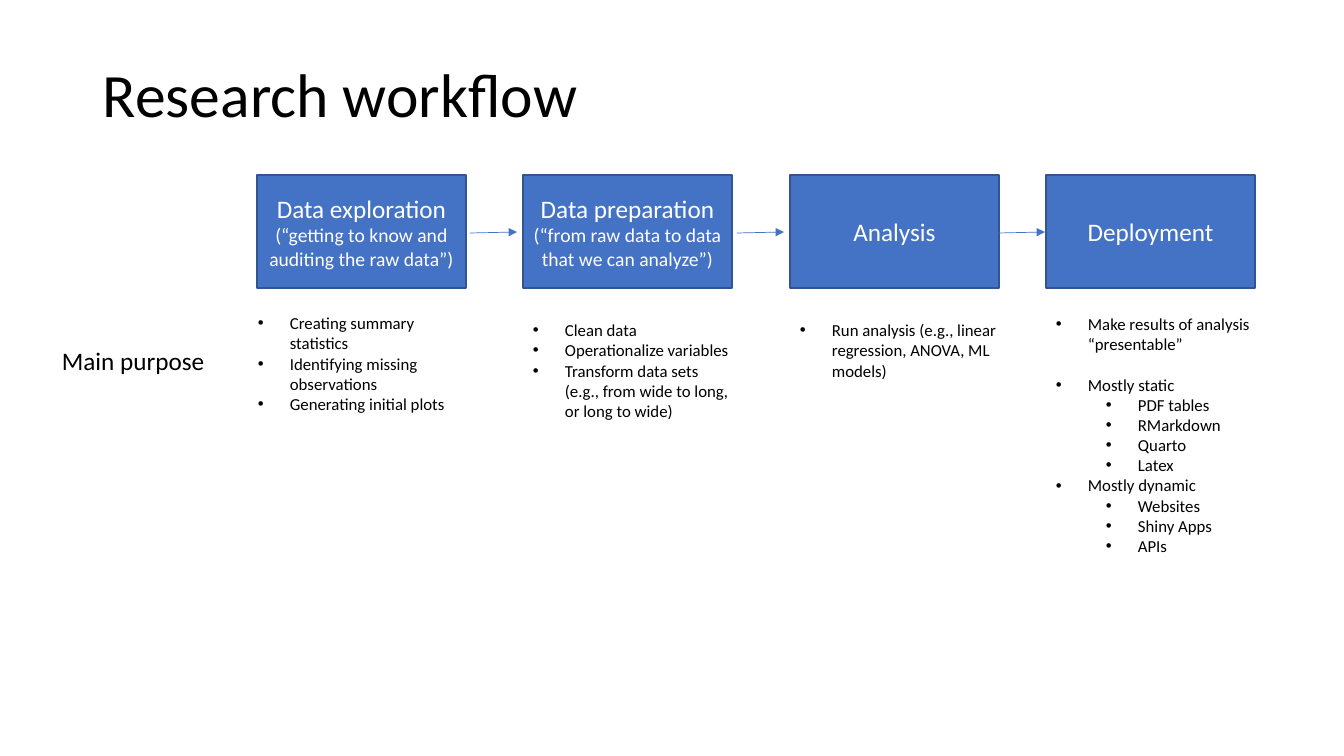
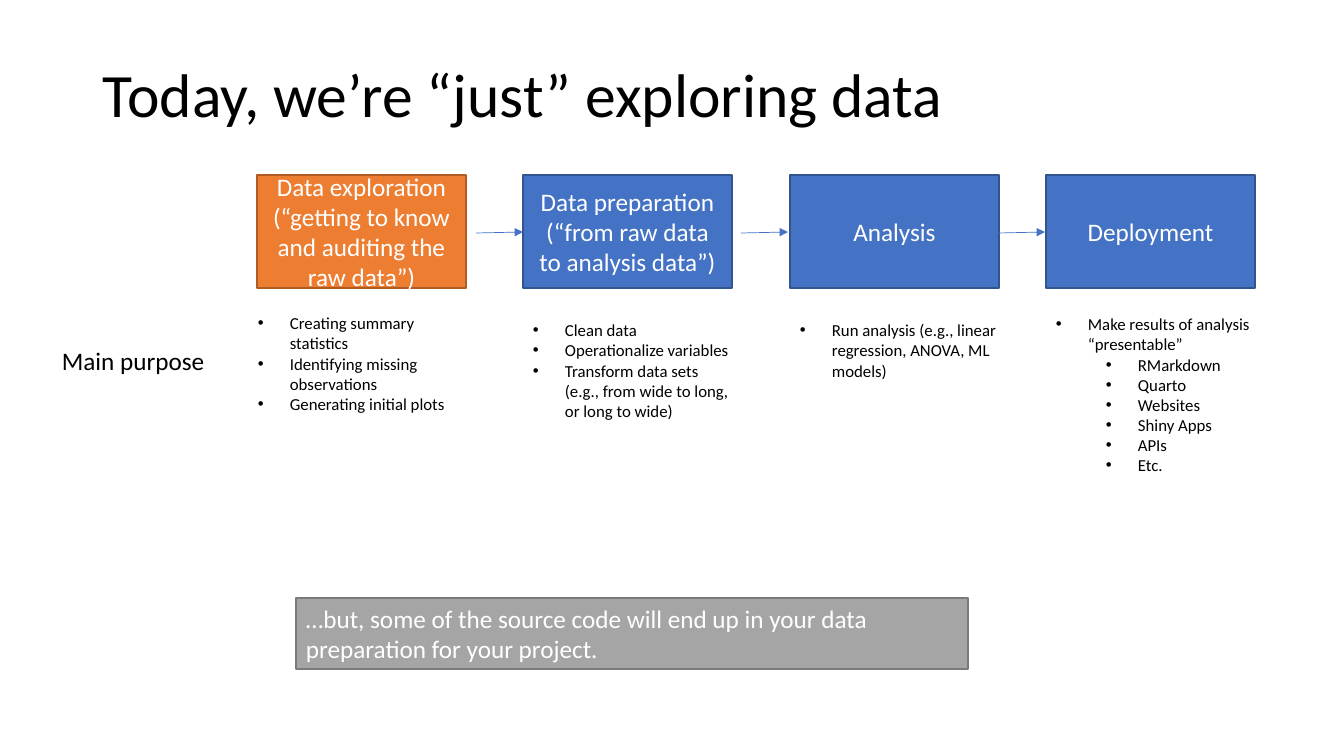
import pptx
import pptx.util
import pptx.dml.color
import pptx.enum.shapes
import pptx.enum.text
import pptx.oxml.ns
import lxml.etree
from dataclasses import dataclass

SCALE = 914400 / 100.8
ANCHOR = pptx.enum.text.MSO_ANCHOR
ALIGN = pptx.enum.text.PP_ALIGN
RECT = pptx.enum.shapes.MSO_SHAPE.RECTANGLE
STRAIGHT = pptx.enum.shapes.MSO_CONNECTOR.STRAIGHT


def px(length):
    return pptx.util.Emu(round(length * SCALE))


def rgb(code):
    return pptx.dml.color.RGBColor.from_string(code)


def add(parent, tag, **attrs):
    return lxml.etree.SubElement(parent, pptx.oxml.ns.qn(tag), attrs)


@dataclass
class Theme:
    font: str = "Calibri"
    ink: str = "000000"
    paper: str = "FFFFFF"
    arrow: str = "4472C4"
    blue: tuple = ("4472C4", "325491")
    orange: tuple = ("ED7D31", "AF5C24")
    gray: tuple = ("A5A5A5", "7A7A7A")
    title: int = 44
    body: int = 18
    note: int = 14
    list: int = 12


class Deck:
    def __init__(self, theme):
        self.theme = theme
        self.file = pptx.Presentation()
        self.file.slide_width = px(1344)
        self.file.slide_height = px(756)

    def page(self, title):
        self.slide = self.file.slides.add_slide(self.file.slide_layouts[6])
        frame = self.text(93, 40, 1159, 115)
        frame.vertical_anchor = ANCHOR.MIDDLE
        self.line(frame, 0, title, self.theme.title).line_spacing = 0.9

    def text(self, x, y, w, h, wrap=True):
        shape = self.slide.shapes.add_textbox(px(x), px(y), px(w), px(h))
        shape.text_frame.word_wrap = wrap
        return shape.text_frame

    def line(self, frame, index, text, size, color=None, align=ALIGN.LEFT):
        par = frame.add_paragraph() if index else frame.paragraphs[0]
        par.text = text
        par.alignment = align
        par.font.name = self.theme.font
        par.font.size = pptx.util.Pt(size)
        par.font.color.rgb = rgb(color or self.theme.ink)
        return par

    def label(self, x, y, w, h, text):
        self.line(self.text(x, y, w, h, False), 0, text, self.theme.body)

    def box(self, x, y, w, h, lines, colors, align=ALIGN.CENTER):
        shape = self.slide.shapes.add_shape(RECT, px(x), px(y), px(w), px(h))
        shape.shadow.inherit = False
        shape.fill.solid()
        shape.fill.fore_color.rgb = rgb(colors[0])
        shape.line.color.rgb = rgb(colors[1])
        shape.line.width = pptx.util.Pt(1)
        frame = shape.text_frame
        frame.word_wrap = True
        frame.vertical_anchor = ANCHOR.MIDDLE
        for index, (text, size) in enumerate(lines):
            self.line(frame, index, text, size, self.theme.paper, align)

    def bullets(self, x, y, w, h, items, gap=None):
        frame = self.text(x, y, w, h)
        frame.auto_size = pptx.enum.text.MSO_AUTO_SIZE.SHAPE_TO_FIT_TEXT
        for index, (level, text) in enumerate(items):
            par = frame.add_paragraph() if index else frame.paragraphs[0]
            props = par._p.get_or_add_pPr()
            props.set("marL", str(px(32 + 50 * level)))
            props.set("indent", str(px(-32)))
            add(props, "a:buFont", typeface="Arial")
            add(props, "a:buChar", char="•")
            par.level = level
            par.text = text
            par.font.name = self.theme.font
            par.font.size = pptx.util.Pt(self.theme.list)
            par.font.color.rgb = rgb(self.theme.ink)
            if index == gap:
                par.space_before = pptx.util.Pt(14.4)

    def arrow(self, x, y, w):
        link = self.slide.shapes.add_connector(
            STRAIGHT, px(x), px(y), px(x + w), px(y - 1))
        link.line.color.rgb = rgb(self.theme.arrow)
        link.line.width = pptx.util.Pt(0.5)
        add(link.line._get_or_add_ln(), "a:tailEnd", type="triangle")
        add(link._element.spPr, "a:effectLst")

    def flow(self, heads, first, size, arrows, last, gap=None):
        for index, (x, lines) in enumerate(zip(LEFTS, heads)):
            sizes = (self.theme.body, size)
            colors = self.theme.blue if index else first
            self.box(x, 175, 209, 113, list(zip(lines, sizes)), colors)
        for spot, items in zip(SPOTS, TASKS + [last]):
            self.bullets(*spot, 218, 20 * len(items) + 10, items, gap if items is last else None)
        self.label(52, 340, 164, 40, "Main purpose")
        for x in arrows:
            self.arrow(x, 233, 47)


LEFTS = (257, 523, 790, 1046)
SPOTS = ((248, 308), (523, 315), (790, 315), (1046, 309))
TASKS = [
    [(0, "Creating summary statistics"),
     (0, "Identifying missing observations"),
     (0, "Generating initial plots")],
    [(0, "Clean data"),
     (0, "Operationalize variables"),
     (0, "Transform data sets (e.g., from wide to long, or long to wide)")],
    [(0, "Run analysis (e.g., linear regression, ANOVA, ML models)")],
]
GOAL = (0, "Make results of analysis “presentable”")
EXPLORE = ("Data exploration", "(“getting to know and auditing the raw data”)")
ENDS = [("Analysis",), ("Deployment",)]

theme = Theme()
deck = Deck(theme)

deck.page("Research workflow")
deck.flow(
    [EXPLORE, ("Data preparation", "(“from raw data to data that we can analyze”)")] + ENDS,
    theme.blue, theme.note, (470, 737, 998),
    [GOAL, (0, "Mostly static"), (1, "PDF tables"), (1, "RMarkdown"),
     (1, "Quarto"), (1, "Latex"), (0, "Mostly dynamic"),
     (1, "Websites"), (1, "Shiny Apps"), (1, "APIs")],
    gap=1)

deck.page("Today, we’re “just” exploring data")
deck.flow(
    [EXPLORE, ("Data preparation", "(“from raw data to analysis data”)")] + ENDS,
    theme.orange, theme.body, (476, 741, 998),
    [GOAL, (1, "RMarkdown"), (1, "Quarto"), (1, "Websites"),
     (1, "Shiny Apps"), (1, "APIs"), (1, "Etc.")])
deck.box(
    296, 598, 672, 71,
    [("…but, some of the source code will end up in your data preparation for your project.",
      theme.body)],
    theme.gray, ALIGN.LEFT)

deck.file.save("out.pptx")
